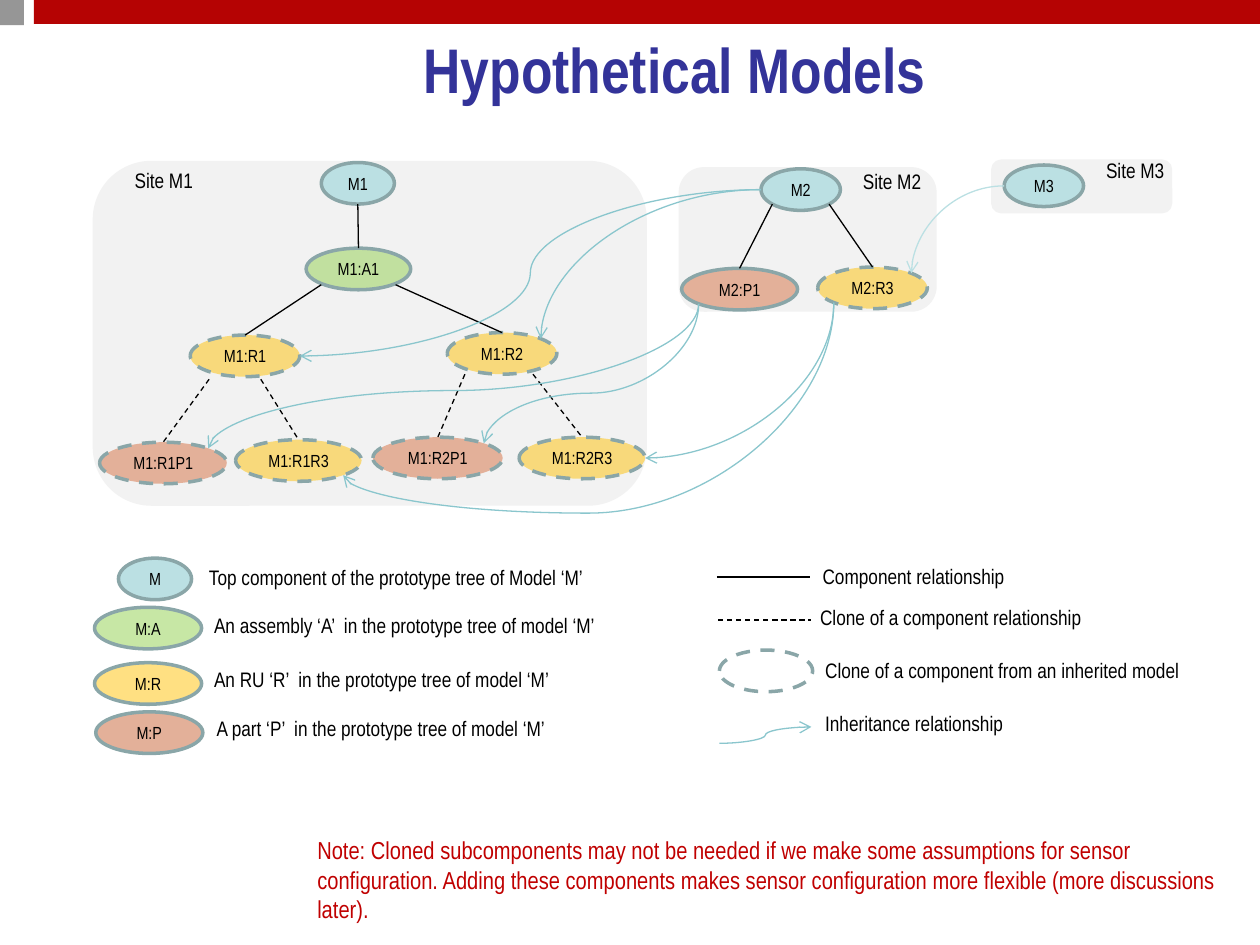
from lxml import etree
from pptx import Presentation
from pptx.dml.color import RGBColor
from pptx.enum import dml, shapes, text
from pptx.oxml import ns
from pptx.util import Inches, Pt

COLORS = {
    "bar": "B50303", "corner": "969696", "site": "F2F2F2", "title": "333399",
    "ink": "000000", "note": "C00000", "outline": "8AA6A8", "inherit": "8AC6CD",
    "top": "BBE0E3", "assembly": "92D050", "unit": "FFC000", "part": "E3B099",
    "blank": "FFFFFF",
}
ALPHA = {"assembly": 51, "unit": 49}
FONT = "Arial Narrow"
NODE_HEIGHT = 0.33
OVAL = shapes.MSO_SHAPE.OVAL
RECT = shapes.MSO_SHAPE.RECTANGLE
ROUNDED = shapes.MSO_SHAPE.ROUNDED_RECTANGLE


def rgb(color):
    return RGBColor.from_string(COLORS[color])


def write(frame, words, size=12, color="ink", bold=False, align=text.PP_ALIGN.LEFT,
          anchor=text.MSO_ANCHOR.TOP, wrap=True):
    frame.word_wrap = wrap
    frame.vertical_anchor = anchor
    paragraph = frame.paragraphs[0]
    paragraph.alignment = align
    run = paragraph.add_run()
    run.text = words
    run.font.name = FONT
    run.font.size = Pt(size)
    run.font.bold = bold
    run.font.color.rgb = rgb(color)


def label(slide, box, words, **style):
    caption = slide.shapes.add_textbox(*map(Inches, box))
    write(caption.text_frame, words, **style)


def block(slide, kind, box, fill, line=None, dashed=False):
    shape = slide.shapes.add_shape(kind, *map(Inches, box))
    shape.shadow.inherit = False
    shape.fill.solid()
    shape.fill.fore_color.rgb = rgb(fill)
    if fill in ALPHA:
        tint = shape.fill._xPr.find(".//" + ns.qn("a:srgbClr"))
        etree.SubElement(tint, ns.qn("a:alpha"), val=str(ALPHA[fill] * 1000))
    if line:
        shape.line.color.rgb = rgb(line)
        shape.line.width = Pt(2)
        if dashed:
            shape.line.dash_style = dml.MSO_LINE.DASH
    else:
        shape.line.fill.background()
    return shape


def node(slide, x, y, width, fill, words="", dashed=False):
    oval = block(slide, OVAL, (x, y, width, NODE_HEIGHT), fill, "outline", dashed)
    if words:
        write(oval.text_frame, words, size=10, align=text.PP_ALIGN.CENTER,
              anchor=text.MSO_ANCHOR.MIDDLE, wrap=False)
    return oval


def link(slide, kind, start, end, color, dashed=False):
    connector = slide.shapes.add_connector(kind, *map(round, (*start, *end)))
    connector.line.color.rgb = rgb(color)
    connector.line.width = Pt(0.75)
    if dashed:
        connector.line.dash_style = dml.MSO_LINE.DASH
    etree.SubElement(connector._element.spPr, ns.qn("a:effectLst"))
    return connector


def straight(slide, start, end, dashed=False):
    return link(slide, shapes.MSO_CONNECTOR.STRAIGHT, start, end, "ink", dashed)


def inherit(slide, start, end, downward=False, bend=0.5, color="inherit"):
    if downward:
        middle_x, middle_y = (start[0] + end[0]) / 2, (start[1] + end[1]) / 2
        half_width, half_height = (end[1] - start[1]) / 2, (start[0] - end[0]) / 2
        start = middle_x - half_width, middle_y - half_height
        end = middle_x + half_width, middle_y + half_height
    curve = link(slide, shapes.MSO_CONNECTOR.CURVE, start, end, color)
    properties = curve._element.spPr
    if downward:
        properties.find(ns.qn("a:xfrm")).set("rot", "5400000")
    geometry = properties.find(ns.qn("a:prstGeom"))
    if bend is None:
        geometry.set("prst", "curvedConnector2")
    else:
        etree.SubElement(geometry.find(ns.qn("a:avLst")), ns.qn("a:gd"), name="adj1",
                         fmla=f"val {round(bend * 100000)}")
    etree.SubElement(curve.line._ln, ns.qn("a:tailEnd"), type="arrow")


def edge(oval, across, down):
    reach = 0.5 ** 0.5 if across and down else 1
    return (oval.left + oval.width * (1 + across * reach) / 2,
            oval.top + oval.height * (1 + down * reach) / 2)


def header(slide, box):
    left, top, width, height = box
    block(slide, RECT, (left + 0.27, top, width - 0.27, 0.19), "bar")
    block(slide, RECT, (left, top, 0.19, 0.2), "corner")
    label(slide, (left + 0.87, top + 0.25, 8.97, height - 0.25), "Hypothetical Models",
          size=36, color="title", bold=True, align=text.PP_ALIGN.CENTER,
          anchor=text.MSO_ANCHOR.MIDDLE)


def site(slide, box, name, name_at, members, branches=()):
    left, top = box[:2]
    block(slide, ROUNDED, box, "site", "site")
    label(slide, (left + name_at[0], top + name_at[1], 0.76, 0.3), name)
    ovals = {words: node(slide, left + x, top + y, width, fill, words, dashed)
             for words, x, y, width, fill, dashed in members}
    for parent, child, x, y, dashed in branches:
        start = ovals[parent].left + Inches(x), ovals[parent].top + Inches(y)
        branch = straight(slide, start, edge(ovals[child], 0, -1), dashed)
        branch.end_connect(ovals[child], 0)
    return ovals


def models(slide, box):
    left, top = box[:2]
    ovals = site(slide, (left + 7.13, top, 1.41, 0.4), "Site M3", (0.8, -0.08),
                 [("M3", 0.09, 0.03, 0.63, "top", False)])
    ovals |= site(
        slide, (left + 4.65, top + 0.06, 2.02, 1.12), "Site M2", (1.35, -0.05),
        [("M2", 0.64, 0, 0.63, "top", False),
         ("M2:R3", 1.09, 0.78, 0.87, "unit", True),
         ("M2:P1", 0.01, 0.79, 0.92, "part", False)],
        [("M2", "M2:P1", 0.09, 0.28, False), ("M2", "M2:R3", 0.54, 0.28, False)])
    ovals |= site(
        slide, (left, top + 0.01, 4.37, 2.71), "Site M1", (0.22, -0.01),
        [("M1", 1.8, 0, 0.58, "top", False),
         ("M1:A1", 1.68, 0.68, 0.83, "assembly", False),
         ("M1:R2", 2.8, 1.35, 0.87, "unit", True),
         ("M1:R1", 0.76, 1.37, 0.87, "unit", True),
         ("M1:R1R3", 1.12, 2.2, 1, "unit", True),
         ("M1:R1P1", 0.04, 2.22, 1.01, "part", True),
         ("M1:R2R3", 3.37, 2.18, 1, "unit", True),
         ("M1:R2P1", 2.21, 2.18, 1.03, "part", True)],
        [("M1", "M1:A1", 0.29, 0.33, False),
         ("M1:A1", "M1:R1", 0.12, 0.29, False), ("M1:A1", "M1:R2", 0.71, 0.29, False),
         ("M1:R1", "M1:R1P1", 0.15, 0.35, True), ("M1:R1", "M1:R1R3", 0.56, 0.35, True),
         ("M1:R2", "M1:R2P1", 0.14, 0.33, True), ("M1:R2", "M1:R2R3", 0.68, 0.33, True)])
    for source, source_side, heir, heir_side, downward, bend, color in [
        ("M2", (-1, 0), "M1:R1", (1, 0), False, 0.5, "inherit"),
        ("M2", (-1, 0), "M1:R2", (1, -1), False, None, "inherit"),
        ("M3", (-1, 0), "M2:R3", (1, -1), False, None, "top"),
        ("M2:P1", (-1, 1), "M1:R2P1", (1, -1), True, 0.64, "inherit"),
        ("M2:P1", (-1, 1), "M1:R1P1", (1, -1), True, 0.6, "inherit"),
        ("M2:R3", (-1, 1), "M1:R1R3", (1, 1), True, 1.22, "inherit"),
        ("M2:R3", (-1, 1), "M1:R2R3", (1, 0), True, None, "inherit"),
    ]:
        inherit(slide, edge(ovals[source], *source_side), edge(ovals[heir], *heir_side),
                downward, bend, color)


def component_legend(slide, box):
    left, top = box[:2]
    for key, fill, x, y, width, meaning, text_x, text_y in [
        ("M", "top", 0.19, 0.01, 0.58,
         "Top component of the prototype tree of Model ‘M’", 0.81, 0.01),
        ("M:A", "assembly", 0, 0.4, 0.85,
         "An assembly ‘A’  in the prototype tree of model ‘M’", 0.85, 0.39),
        ("M:R", "unit", 0, 0.84, 0.85,
         "An RU ‘R’  in the prototype tree of model ‘M’", 0.85, 0.82),
        ("M:P", "part", 0.01, 1.23, 0.85,
         "A part ‘P’  in the prototype tree of model ‘M’", 0.87, 1.21),
    ]:
        node(slide, left + x, top + y, width, fill, key)
        label(slide, (left + text_x, top + text_y, 3.25, 0.3), meaning, wrap=False)


def relationship_legend(slide, box):
    left, top = box[:2]

    def at(x, y):
        return Inches(left + x), Inches(top + y)

    straight(slide, at(0, 0.16), at(0.74, 0.16))
    straight(slide, at(0.01, 0.5), at(0.75, 0.5), dashed=True)
    node(slide, left + 0.02, top + 0.74, 0.74, "blank", dashed=True)
    inherit(slide, at(0.02, 1.48), at(0.75, 1.35))
    for meaning, x, y in [
        ("Component relationship", 0.74, 0),
        ("Clone of a component relationship", 0.72, 0.33),
        ("Clone of a component from an inherited model", 0.76, 0.75),
        ("Inheritance relationship", 0.76, 1.17),
    ]:
        label(slide, (left + x, top + y, 3.09, 0.3), meaning, wrap=False)


def note(slide, box):
    label(slide, box, "Note: Cloned subcomponents may not be needed if we make some "
          "assumptions for sensor configuration. Adding these components makes sensor "
          "configuration more flexible (more discussions later).", size=14, color="note")


def main():
    deck = Presentation()
    deck.slide_width, deck.slide_height = Inches(10), Inches(7.5)
    slide = deck.slides.add_slide(deck.slide_layouts[6])
    header(slide, (0, 0, 10, 0.84))
    models(slide, (0.75, 1.28, 8.54, 2.8))
    component_legend(slide, (0.75, 4.42, 4.12, 1.56))
    relationship_legend(slide, (5.69, 4.42, 3.85, 1.5))
    note(slide, (2.42, 6.58, 7.54, 0.81))
    deck.save("out.pptx")


if __name__ == "__main__":
    main()
